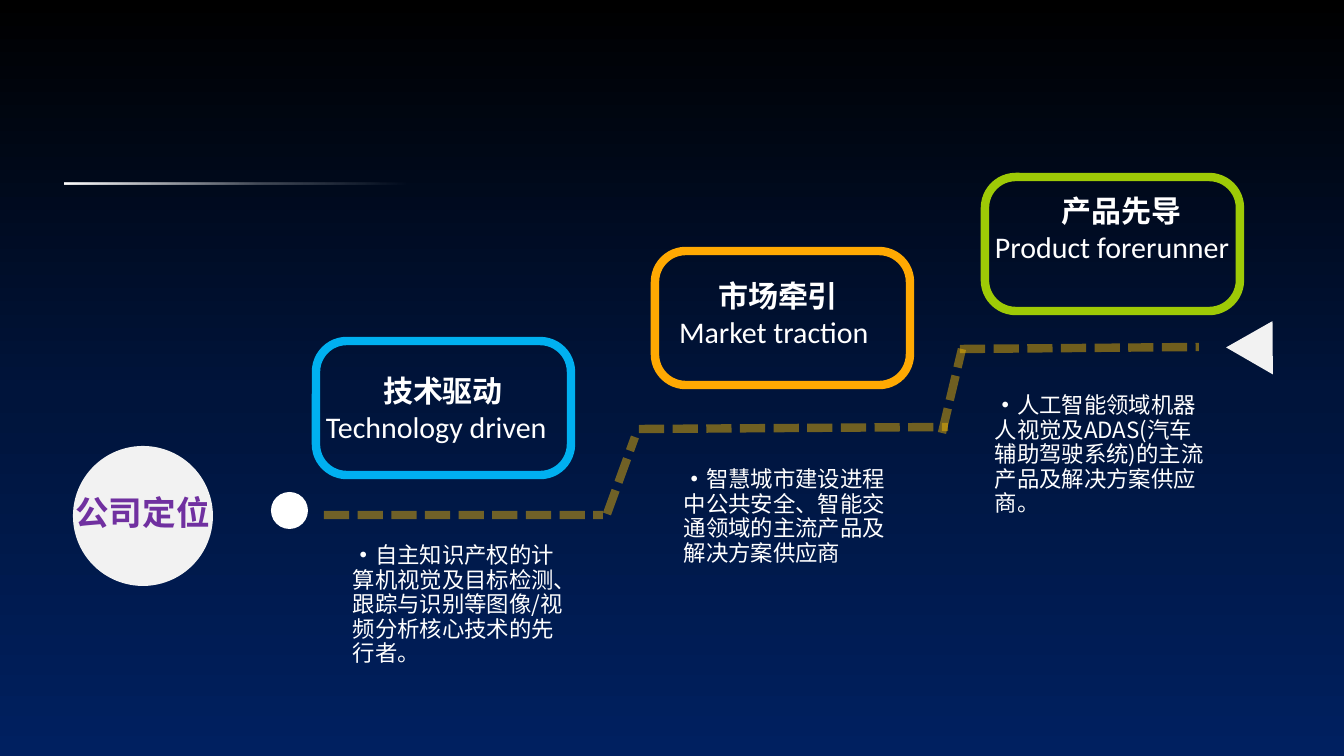
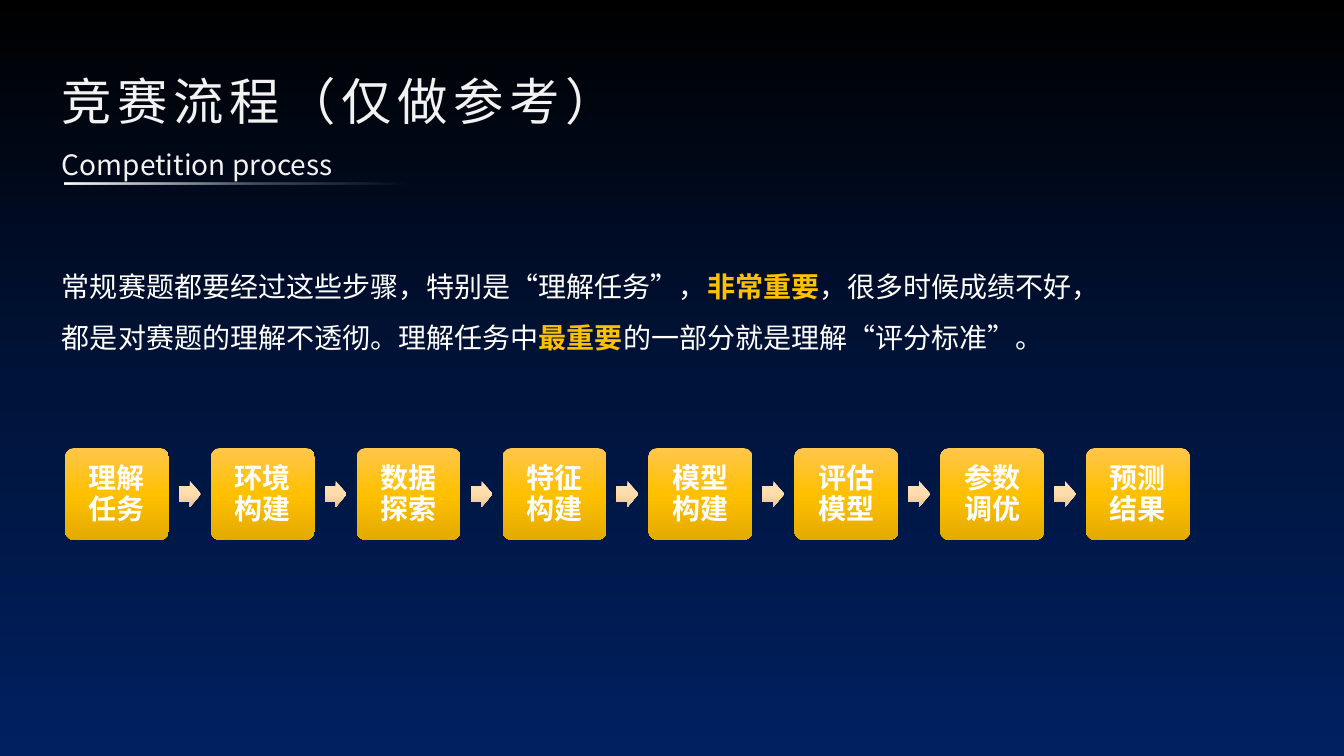
"""Build two dark slides: company positioning steps and the competition process."""
from lxml.etree import SubElement
from pptx import Presentation
from pptx.dml.color import RGBColor
from pptx.enum.dml import MSO_LINE
from pptx.enum.shapes import MSO_CONNECTOR, MSO_SHAPE
from pptx.enum.text import MSO_ANCHOR, PP_ALIGN
from pptx.oxml.ns import qn
from pptx.util import Pt

RECT, OVAL, ROUND = MSO_SHAPE.RECTANGLE, MSO_SHAPE.OVAL, MSO_SHAPE.ROUNDED_RECTANGLE
TRIANGLE, ARROW = MSO_SHAPE.ISOSCELES_TRIANGLE, MSO_SHAPE.RIGHT_ARROW
STRAIGHT, DASH = MSO_CONNECTOR.STRAIGHT, MSO_LINE.SQUARE_DOT
LEFT, CENTER = PP_ALIGN.LEFT, PP_ALIGN.CENTER
TOP, MIDDLE = MSO_ANCHOR.TOP, MSO_ANCHOR.MIDDLE

WIDTH, HEIGHT = 1344, 756
EMU_PER_PX = 12192000 / WIDTH

THEME = {
    "font": "Noto Sans CJK SC", "card_font": "Calibri",
    "white": "FFFFFF", "light": "F2F2F2", "gold": "FFC000", "purple": "7030A0",
    "background": [(0, "002060", 100), (48, "00143B", 100), (100, "000000", 100)],
    "rule": [(0, "FFFFFF", 0), (44, "FFFFFF", 27), (100, "FFFFFF", 100)],
    "node": [(0, "FFC64B", 100), (50, "FFC000", 100), (100, "E3AB00", 100)],
    "arrow": [(0, "FFE2B9", 100), (50, "FFDCAB", 100), (100, "E5C496", 100)],
}
STYLES = {
    "title": {"size": 36, "line": 47, "color": "light", "spacing": 400},
    "subtitle": {"size": 20, "line": 25, "color": "light"},
    "intro": {"size": 20, "line": 36},
    "label": {"size": 24, "line": 29, "color": "purple", "bold": True},
    "card": {"size": 21.4, "line": 26, "font": "card_font"},
    "body": {"size": 16, "line": 17.5},
    "node": {"size": 20, "line": 22, "bold": True},
}

LABEL = "公司定位"
CARDS = [
    {"at": (316, 341), "color": "00B0F0", "text_at": (316, 367, 254, 83),
     "zh": "技术驱动", "en": "Technology driven", "body_at": (343, 539),
     "body": "自主知识产权的计算机视觉及目标检测、跟踪与识别等图像/视频分析核心技术的先行者。"},
    {"at": (655, 251), "color": "FFA902", "text_at": (669, 272, 218, 83),
     "zh": "市场牵引", "en": "Market traction", "body_at": (674, 463),
     "body": "智慧城市建设进程中公共安全、智能交通领域的主流产品及解决方案供应商"},
    {"at": (985, 177), "color": "9ECA06", "text_at": (985, 187, 273, 83),
     "zh": "产品先导", "en": "Product forerunner", "body_at": (985, 389),
     "body": "人工智能领域机器人视觉及ADAS(汽车辅助驾驶系统)的主流产品及解决方案供应商。"},
]
STAIRS = [(324, 515, 603, 515), (639, 429, 948, 427), (960, 349, 1199, 347),
          (607, 514, 635, 437), (942, 433, 962, 349)]

TITLE, SUBTITLE = "竞赛流程（仅做参考）", "Competition process"
HIGHLIGHT = {"color": "gold", "bold": True}
INTRO = [
    ("常规赛题都要经过这些步骤，特别是“理解任务”，", {}),
    ("非常重要", HIGHLIGHT),
    ("，很多时候成绩不好，都是对赛题的理解不透彻。理解任务中", {}),
    ("最重要", HIGHLIGHT),
    ("的一部分就是理解“评分标准”。", {}),
]
STEPS = ["理解任务", "环境构建", "数据探索", "特征构建",
         "模型构建", "评估模型", "参数调优", "预测结果"]
FIRST_X, LAST_X, NODE_Y, NODE_W, NODE_H = 65, 1086, 448, 104, 92
ARROW_W, ARROW_H = 22, 26


def px(*values):
    return [round(v * EMU_PER_PX) for v in values]


def set_alpha(color, percent):
    SubElement(color, qn("a:alpha"), val=str(percent * 1000))


def set_gradient(fill, root, stops, angle):
    fill.gradient()
    grad = next(root.iter(qn("a:gradFill")))
    for child in list(grad):
        grad.remove(child)
    stop_list = SubElement(grad, qn("a:gsLst"))
    for pos, rgb, alpha in stops:
        gs = SubElement(stop_list, qn("a:gs"), pos=str(pos * 1000))
        color = SubElement(gs, qn("a:srgbClr"), val=rgb)
        if alpha < 100:
            set_alpha(color, alpha)
    SubElement(grad, qn("a:lin"), ang=str(angle * 60000), scaled="0")


def add_shape(s, kind, at, fill=None, stops=None, angle=90, outline=None, adj=()):
    sp = s.shapes.add_shape(kind, *px(*at))
    sp.shadow.inherit = False
    for i, value in enumerate(adj):
        sp.adjustments[i] = value
    if stops:
        set_gradient(sp.fill, sp._element.spPr, THEME[stops], angle)
    elif fill:
        sp.fill.solid()
        sp.fill.fore_color.rgb = RGBColor.from_string(THEME[fill])
    else:
        sp.fill.background()
    if outline:
        sp.line.color.rgb = RGBColor.from_string(outline)
        sp.line.width = Pt(6)
    else:
        sp.line.fill.background()
    return sp


def write(tf, style, paragraphs, anchor=TOP, wrap=True, side=10, edge=5):
    """Fill a frame from (alignment, [(text, overrides), ...]) paragraphs."""
    base = STYLES[style]
    margin_x, margin_y = px(side, edge)
    frame = {"word_wrap": wrap, "vertical_anchor": anchor,
             "margin_left": margin_x, "margin_right": margin_x,
             "margin_top": margin_y, "margin_bottom": margin_y}
    for name, value in frame.items():
        setattr(tf, name, value)
    for i, (align, runs) in enumerate(paragraphs):
        p = tf.add_paragraph() if i else tf.paragraphs[0]
        p.alignment, p.line_spacing = align, Pt(base["line"])
        for text, overrides in runs:
            look = {"color": "white", "bold": False, "font": "font", **base, **overrides}
            r = p.add_run()
            r.text = text
            font = {"size": Pt(look["size"]), "bold": look["bold"], "name": THEME[look["font"]]}
            for name, value in font.items():
                setattr(r.font, name, value)
            r.font.color.rgb = RGBColor.from_string(THEME[look["color"]])
            props = r._r.get_or_add_rPr()
            props.set("lang", "zh-CN")
            if "spacing" in look:
                props.set("spc", str(look["spacing"]))
            SubElement(props, qn("a:ea"), typeface=THEME["font"])


def add_text(s, at, style, paragraphs, **options):
    write(s.shapes.add_textbox(*px(*at)).text_frame, style, paragraphs, **options)


def add_dashes(s, ends):
    line = s.shapes.add_connector(STRAIGHT, *px(*ends))
    line.line.color.rgb = RGBColor.from_string(THEME["gold"])
    line.line.width = Pt(6)
    line.line.dash_style = DASH
    props = line._element.spPr
    set_alpha(next(props.iter(qn("a:srgbClr"))), 44)
    SubElement(props, qn("a:effectLst"))


def new_slide(prs):
    s = prs.slides.add_slide(prs.slide_layouts[6])
    add_shape(s, RECT, (65, 183, 342, 2), stops="rule", angle=180)
    return s


def build_positioning(prs):
    s = new_slide(prs)
    add_shape(s, OVAL, (271, 492, 37, 37), fill="white")
    for ends in STAIRS:
        add_dashes(s, ends)
    add_shape(s, TRIANGLE, (1234, 318, 54, 46), fill="light").rotation = 30
    for card in CARDS:
        add_shape(s, ROUND, (*card["at"], 255, 134), outline=card["color"], adj=[0.23])
        add_text(s, card["text_at"], "card",
                 [(CENTER, [(card["zh"], {"bold": True})]), (LEFT, [(card["en"], {})])])
        add_text(s, (*card["body_at"], 230, 132), "body",
                 [(LEFT, [("·", {"bold": True}), (card["body"], {})])])
    add_shape(s, OVAL, (73, 446, 140, 140), fill="light")
    add_text(s, (68, 487, 149, 50), "label", [(CENTER, [(LABEL, {})])], wrap=False, side=7)


def build_process(prs):
    s = new_slide(prs)
    add_text(s, (52, 65, 748, 66), "title", [(LEFT, [(TITLE, {})])], anchor=MIDDLE)
    add_text(s, (52, 141, 493, 49), "subtitle", [(LEFT, [(SUBTITLE, {})])])
    add_text(s, (52, 248, 1033, 149), "intro", [(LEFT, INTRO)])
    pitch = (LAST_X - FIRST_X) / (len(STEPS) - 1)
    arrow_dx = (NODE_W + pitch - ARROW_W) / 2
    arrow_y = NODE_Y + (NODE_H - ARROW_H) / 2
    for i, step in enumerate(STEPS):
        x = FIRST_X + i * pitch
        node = add_shape(s, ROUND, (x, NODE_Y, NODE_W, NODE_H), stops="node", adj=[0.1])
        write(node.text_frame, "node", [(CENTER, [(step, {})])], anchor=MIDDLE, side=12)
        if i < len(STEPS) - 1:
            add_shape(s, ARROW, (x + arrow_dx, arrow_y, ARROW_W, ARROW_H),
                      stops="arrow", adj=[0.6, 0.5])


def main():
    prs = Presentation()
    prs.slide_width, prs.slide_height = px(WIDTH, HEIGHT)
    master = prs.slide_master
    set_gradient(master.background.fill, master.element, THEME["background"], 270)
    build_positioning(prs)
    build_process(prs)
    prs.save("out.pptx")


if __name__ == "__main__":
    main()
